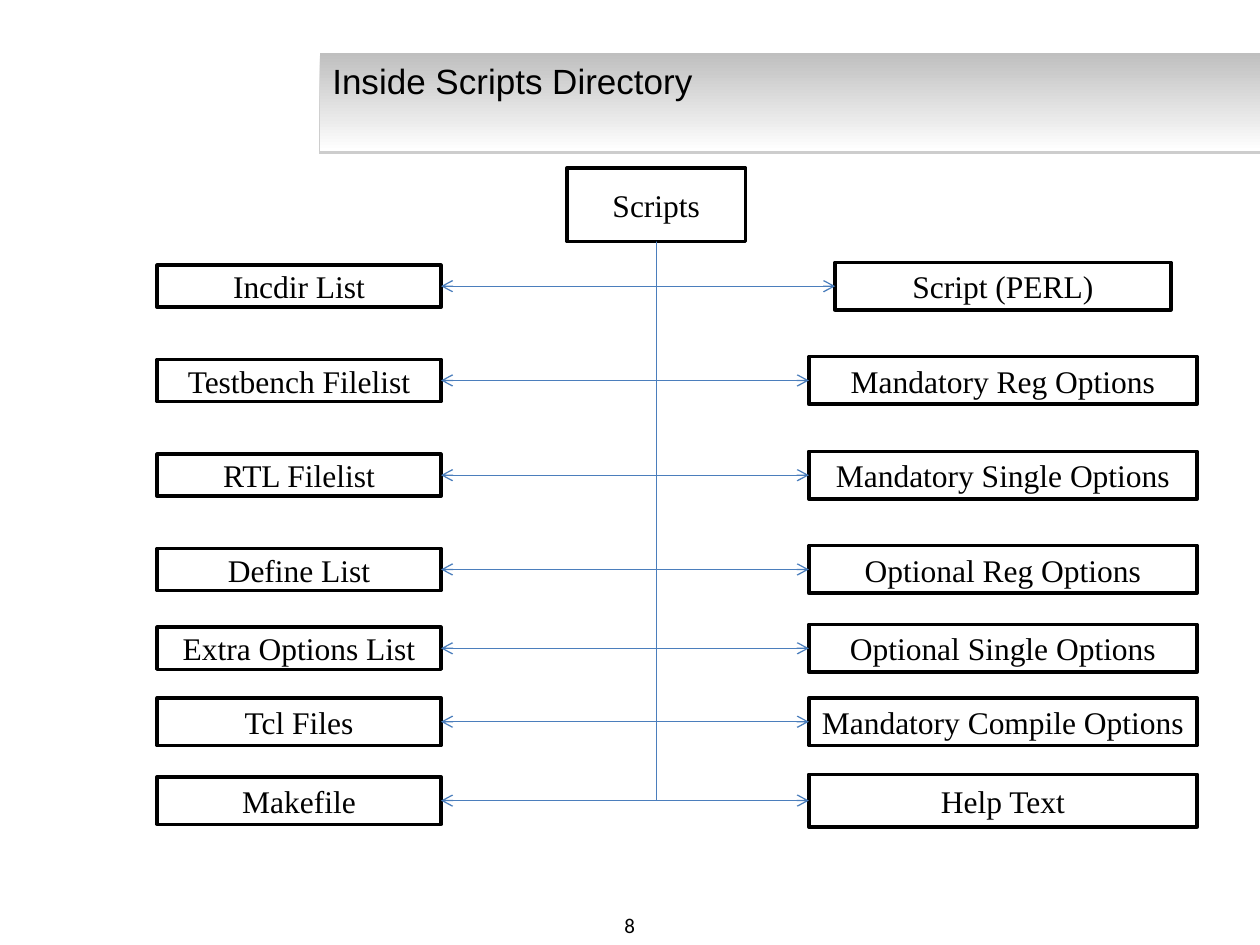
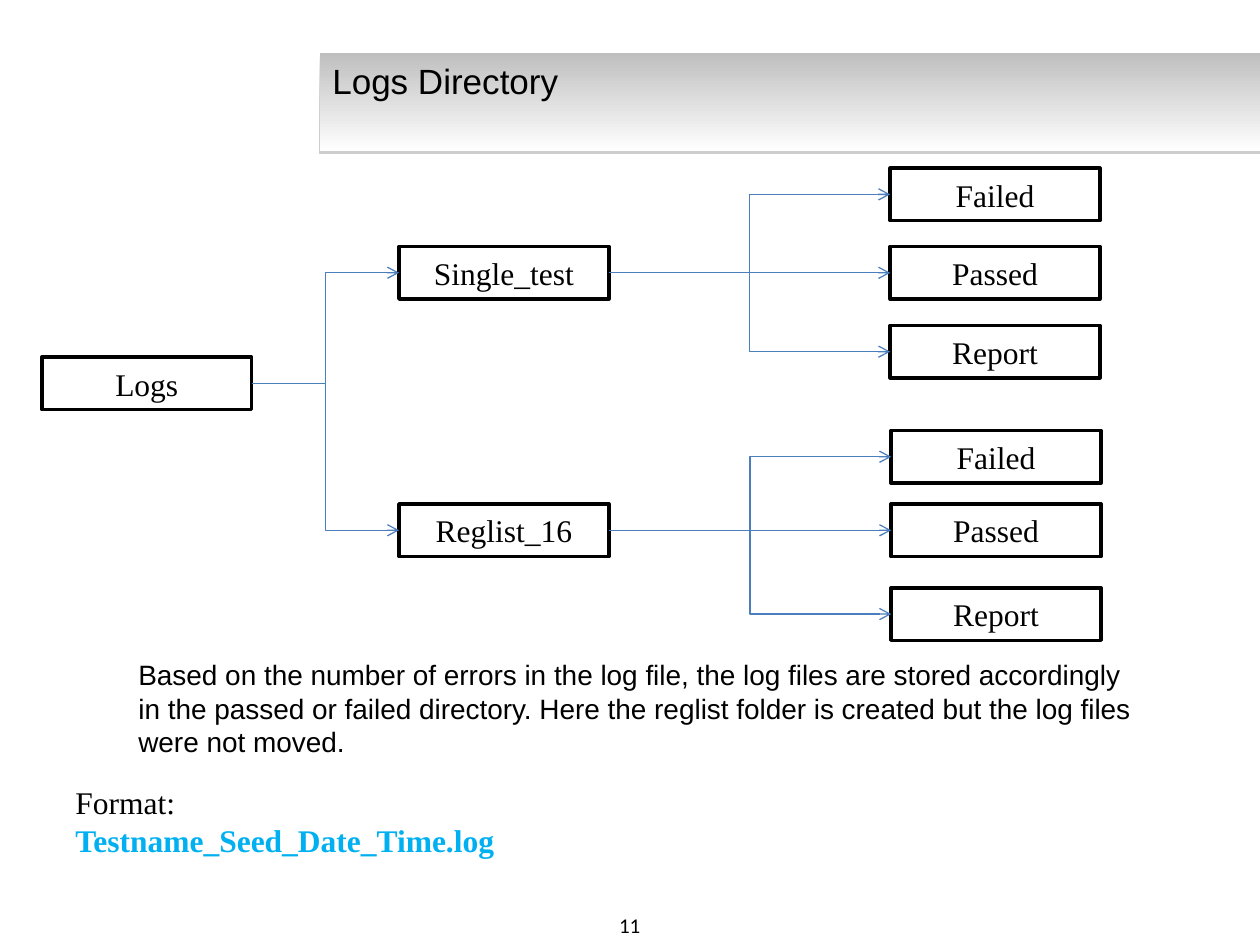
from lxml.etree import SubElement
from pptx import Presentation
from pptx.dml.color import RGBColor
from pptx.enum.shapes import MSO_CONNECTOR as CONN, MSO_SHAPE as SHAPE
from pptx.enum.text import MSO_ANCHOR as ANCHOR, PP_ALIGN as ALIGN
from pptx.oxml.ns import qn
from pptx.util import Cm, Pt

BLACK = RGBColor(0x00, 0x00, 0x00)
WHITE = RGBColor(0xFF, 0xFF, 0xFF)
GREY = RGBColor(0xBF, 0xBF, 0xBF)
BLUE = RGBColor(0x4B, 0x7E, 0xBC)
CYAN = RGBColor(0x00, 0xB0, 0xF0)

SANS, SERIF, NUMBER_FONT = "Arial", "Times New Roman", "Calibri"
BAND = (6.45, 1.07, 18.95, 1.98)
BOTTOM, LEFT, RIGHT = 2, 1, 3  # connection sites


class Deck:
    """Holds the shared style and the slide being drawn."""

    def __init__(self):
        self.prs = Presentation()
        self.prs.slide_width, self.prs.slide_height = Cm(25.4), Cm(19.05)
        self.s = None

    def slide(self, title, number):
        self.s = self.prs.slides.add_slide(self.prs.slide_layouts[6])
        self.band()
        self.text(BAND, [title], SANS, 20)
        self.text((9.73, 18.26, 5.93, 0.8), [number], NUMBER_FONT, 12,
                  ALIGN.CENTER, ANCHOR.MIDDLE)

    def band(self):
        sp = self.s.shapes.add_shape(SHAPE.RECTANGLE, *map(Cm, BAND))
        sp.line.fill.background()
        sp.fill.gradient()
        sp.fill.gradient_angle = 270
        for stop, color, pos in zip(sp.fill.gradient_stops, (GREY, WHITE), (0, 1)):
            stop.color.rgb, stop.position = color, pos
        # Thin shadow below the band
        effects = SubElement(sp._element.spPr, qn("a:effectLst"))
        shadow = SubElement(effects, qn("a:outerShdw"), dist=str(Pt(1.6)),
                            dir="5400000", rotWithShape="0")
        color = SubElement(shadow, qn("a:srgbClr"), val="808080")
        SubElement(color, qn("a:alpha"), val="38000")

    def run(self, p, text, font, size, color=BLACK, bold=False):
        r = p.add_run()
        r.text = text
        r.font.name, r.font.size, r.font.bold = font, Pt(size), bold
        r.font.color.rgb = color

    def text(self, at, lines, font, size, align=ALIGN.LEFT, anchor=ANCHOR.TOP):
        """Each line is a string or a (string, color, bold) tuple."""
        tf = self.s.shapes.add_textbox(*map(Cm, at)).text_frame
        tf.word_wrap, tf.vertical_anchor = True, anchor
        for i, line in enumerate(lines):
            p = tf.add_paragraph() if i else tf.paragraphs[0]
            p.alignment = align
            text, *style = (line,) if isinstance(line, str) else line
            self.run(p, text, font, size, *style)

    def box(self, text, cx, cy, w=4.23, h=1.06):
        """Outlined box placed by its centre."""
        sp = self.s.shapes.add_shape(SHAPE.RECTANGLE, Cm(cx - w / 2),
                                     Cm(cy - h / 2), Cm(w), Cm(h))
        sp.shadow.inherit = False
        sp.fill.solid()
        sp.fill.fore_color.rgb = WHITE
        sp.line.color.rgb, sp.line.width = BLACK, Pt(2)
        tf = sp.text_frame
        tf.word_wrap, tf.vertical_anchor = True, ANCHOR.MIDDLE
        tf.margin_left = tf.margin_right = 0
        p = tf.paragraphs[0]
        p.alignment = ALIGN.CENTER
        self.run(p, text, SERIF, 18)
        return sp

    def arrow(self, start, end, sides=(RIGHT, LEFT), kind=CONN.ELBOW):
        c = self.s.shapes.add_connector(kind, 0, 0, 0, 0)
        c.begin_connect(start, sides[0])
        c.end_connect(end, sides[1])
        c.line.color.rgb, c.line.width = BLUE, Pt(0.75)
        spPr = c._element.spPr
        SubElement(spPr.find(qn("a:ln")), qn("a:tailEnd"), type="arrow")
        SubElement(spPr, qn("a:effectLst"))
        return c

    def corner_arrow(self, start, end, side):
        """Goes down from start, then sideways into end with one bend."""
        c = self.arrow(start, end, (BOTTOM, side))
        spPr = c._element.spPr
        spPr.find(qn("a:prstGeom")).set("prst", "bentConnector2")
        # A quarter turn swaps width and height around the same centre
        x, y, w, h = c.left, c.top, c.width, c.height
        c.left, c.top = x + (w - h) // 2, y + (h - w) // 2
        c.width, c.height = h, w
        to_right = side == LEFT
        xfrm = spPr.find(qn("a:xfrm"))
        xfrm.set("rot", "16200000" if to_right else "5400000")
        xfrm.set("flipH", "1" if to_right else "0")


def scripts_slide(d):
    d.slide("Inside Scripts Directory", "8")
    scripts = d.box("Scripts", 13.23, 4.13, 3.6, 1.48)
    # Row centre, left name and height, right name, width and height
    rows = [
        (5.77, "Incdir List", 0.85, "Script (PERL)", 6.77, 0.96),
        (7.67, "Testbench Filelist", 0.85, "Mandatory Reg Options", 7.83, 0.96),
        (9.58, "RTL Filelist", 0.85, "Mandatory Single Options", 7.83, 0.96),
        (11.48, "Define List", 0.85, "Optional Reg Options", 7.83, 0.96),
        (13.07, "Extra Options List", 0.85, "Optional Single Options", 7.83, 0.96),
        (14.55, "Tcl Files", 0.96, "Mandatory Compile Options", 7.83, 0.96),
        (16.14, "Makefile", 0.96, "Help Text", 7.83, 1.06),
    ]
    for y, left, left_h, right, right_w, right_h in rows:
        left_box = d.box(left, 6.03, y, 5.72, left_h)
        right_box = d.box(right, 20.22, y, right_w, right_h)
        d.corner_arrow(scripts, right_box, LEFT)
        d.corner_arrow(scripts, left_box, RIGHT)


def logs_slide(d):
    d.slide("Logs Directory", "11")
    logs = d.box("Logs", 2.96, 7.73)
    # Folder, its centre height, and the places of its results
    folders = [
        ("Single_test", 5.5, 20.06, (3.92, 5.5, 7.09)),
        ("Reglist_16", 10.69, 20.08, (9.21, 10.69, 12.38)),
    ]
    for name, y, result_x, result_ys in folders:
        folder = d.box(name, 10.16, y)
        d.arrow(logs, folder)
        for result, result_y in zip(("Failed", "Passed", "Report"), result_ys):
            kind = CONN.STRAIGHT if result_y == y else CONN.ELBOW
            d.arrow(folder, d.box(result, result_x, result_y), kind=kind)
    # Explanation and file name format
    d.text((2.54, 13.13, 20.75, 2.31),
           ["Based on the number of errors in the log file, the log files are "
            "stored accordingly in the passed or failed directory. Here the "
            "reglist folder is created but the log files were not moved."],
           SANS, 16)
    d.text((1.27, 15.67, 12.07, 1.8),
           ["Format:", ("Testname_Seed_Date_Time.log", CYAN, True)], SERIF, 18)


def main():
    d = Deck()
    scripts_slide(d)
    logs_slide(d)
    d.prs.save("out.pptx")


if __name__ == "__main__":
    main()
